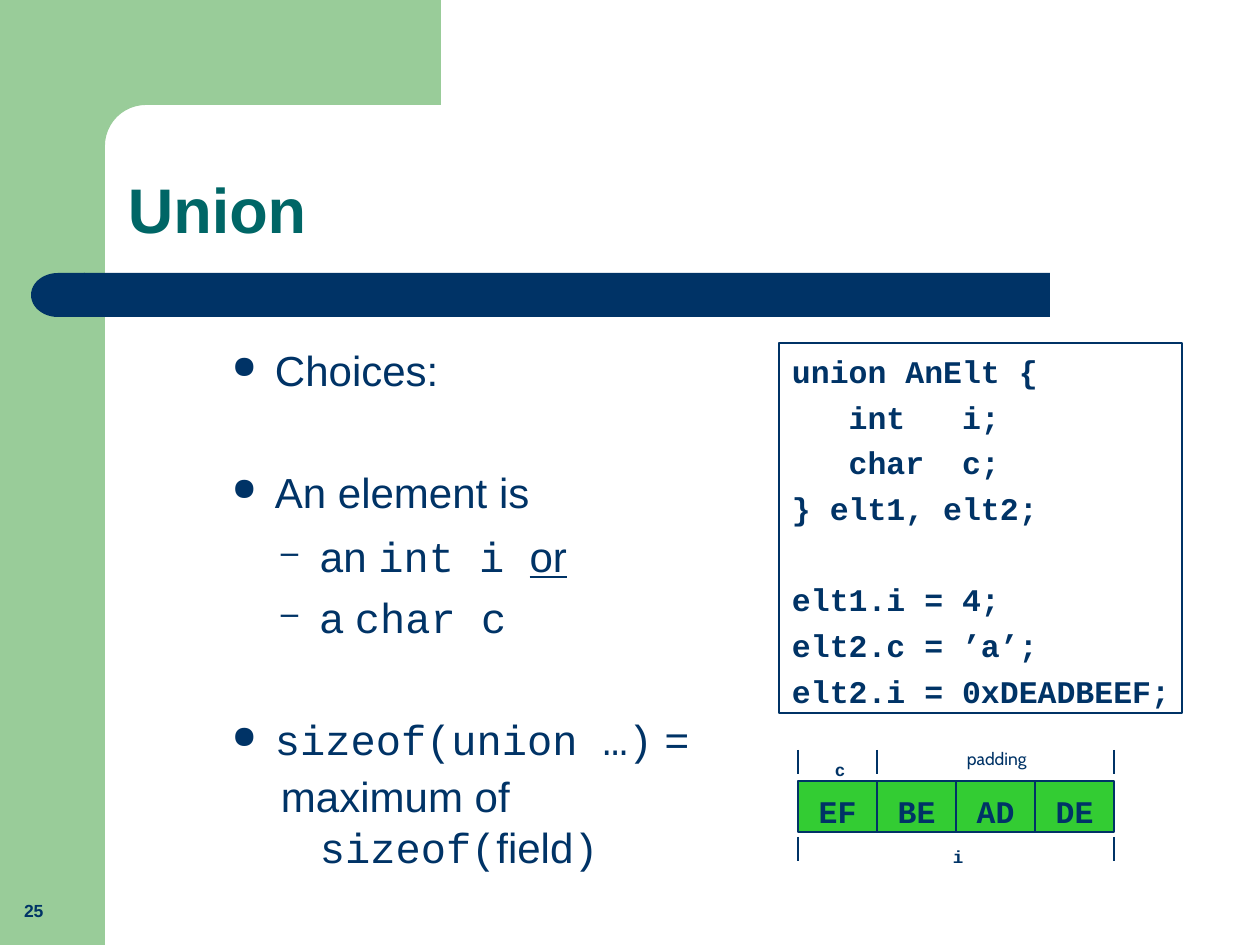
from dataclasses import dataclass
from math import cos, pi, sin

from lxml.etree import SubElement
from pptx import Presentation
from pptx.dml.color import RGBColor
from pptx.enum.shapes import MSO_CONNECTOR as Connector, MSO_SHAPE as Preset
from pptx.enum.text import MSO_ANCHOR as Anchor, PP_ALIGN as Align
from pptx.oxml.ns import qn
from pptx.util import Emu, Pt

NAVY = RGBColor(0x00, 0x33, 0x66)
TEAL = RGBColor(0x00, 0x66, 0x66)
SAGE = RGBColor(0x99, 0xCC, 0x99)
GREEN = RGBColor(0x33, 0xCC, 0x33)
SANS, MONO, LABEL = "Arial", "Courier New", "Cabin"
LINE_RATIO = 1.2


@dataclass(frozen=True)
class Box:
    left: int
    top: int
    width: int
    height: int


@dataclass(frozen=True)
class Style:
    size: int
    font: str = MONO
    bold: bool = True
    color: RGBColor = NAVY


@dataclass(frozen=True)
class Caption:
    text: str
    box: Box
    style: Style
    anchor: Anchor = Anchor.TOP
    wrap: bool = False


@dataclass(frozen=True)
class Piece:
    text: str
    font: str = SANS
    underline: bool = False


@dataclass(frozen=True)
class Point:
    pieces: tuple[Piece, ...]
    margin: int
    indent: int
    space_before: int
    bullet: str = ""


def px(length: float) -> Emu:
    return Emu(round(length * 914400 / 126))


def place(box: Box) -> tuple[Emu, Emu, Emu, Emu]:
    return px(box.left), px(box.top), px(box.width), px(box.height)


def paint(shape, fill: RGBColor | None, outline: RGBColor | None = None) -> None:
    shape.shadow.inherit = False
    if fill is None:
        shape.fill.background()
    else:
        shape.fill.solid()
        shape.fill.fore_color.rgb = fill
    if outline is None:
        shape.line.fill.background()
    else:
        shape.line.color.rgb = outline
        shape.line.width = Pt(0.75)


def add_block(slide, preset: Preset, box: Box, fill=None, outline=None):
    shape = slide.shapes.add_shape(preset, *place(box))
    paint(shape, fill, outline)
    return shape


def set_font(run, style: Style) -> None:
    run.font.name = style.font
    run.font.size = Pt(style.size)
    run.font.bold = style.bold
    run.font.color.rgb = style.color


def set_frame(shape, wrap: bool, anchor: Anchor = Anchor.TOP, top: int = 6):
    frame = shape.text_frame
    frame.word_wrap = wrap
    frame.vertical_anchor = anchor
    frame.margin_left = frame.margin_right = px(13)
    frame.margin_top, frame.margin_bottom = px(top), px(6)
    return frame


def add_caption(slide, caption: Caption) -> None:
    shape = slide.shapes.add_textbox(*place(caption.box))
    frame = set_frame(shape, caption.wrap, caption.anchor)
    frame.text = caption.text
    set_font(frame.paragraphs[0].runs[0], caption.style)


def add_tick(slide, x: int, top: int) -> None:
    tick = slide.shapes.add_connector(Connector.STRAIGHT, px(x), px(top), px(x), px(top + 24))
    tick.line.color.rgb = NAVY
    tick.line.width = Pt(0.75)
    SubElement(tick.element.spPr, qn("a:effectLst"))


def add_bullet(paragraph, character: str) -> None:
    properties = paragraph._p.get_or_add_pPr()
    color = SubElement(properties, qn("a:buClr"))
    SubElement(color, qn("a:srgbClr"), val=str(NAVY))
    SubElement(properties, qn("a:buSzPct"), val="75000")
    SubElement(properties, qn("a:buChar"), char=character)


def add_point(paragraph, point: Point) -> None:
    for piece in point.pieces:
        run = paragraph.add_run()
        run.text = piece.text
        set_font(run, Style(24, piece.font, bold=False))
        run.font.underline = piece.underline
    paragraph.line_spacing = Pt(24 * LINE_RATIO)
    paragraph.space_before = Pt(point.space_before)
    properties = paragraph._p.get_or_add_pPr()
    properties.set("marL", str(px(point.margin)))
    properties.set("indent", str(px(point.indent)))
    if point.bullet:
        add_bullet(paragraph, point.bullet)


def add_corner(slide) -> None:
    radius, inner, steps = 41, 105, 12
    center = inner + radius
    arc = [(center - radius * sin(pi / 2 * step / steps),
            center - radius * cos(pi / 2 * step / steps)) for step in range(steps + 1)]
    outline = [(441, inner), *arc, (inner, 161), (63, 161), (63, 0)]
    builder = slide.shapes.build_freeform(px(441), 0)
    builder.add_line_segments([(px(x), px(y)) for x, y in outline], close=True)
    paint(builder.convert_to_shape(), SAGE)


def add_code(slide, box: Box, groups: tuple[tuple[str, ...], ...]) -> None:
    frame = set_frame(add_block(slide, Preset.RECTANGLE, box, outline=NAVY), False, top=9)
    frame.text = "\n".join(line for group in groups for line in group)
    group_starts = {len(groups[0])}
    for index, paragraph in enumerate(frame.paragraphs):
        paragraph.alignment = Align.LEFT
        paragraph.line_spacing = Pt(18 * LINE_RATIO)
        paragraph.space_before = Pt(30.6 if index in group_starts else 4.5 if index else 0)
        set_font(paragraph.runs[0], Style(18))


def add_byte(slide, text: str, box: Box) -> None:
    frame = set_frame(add_block(slide, Preset.RECTANGLE, box, GREEN, NAVY), True, top=11)
    frame.text = text
    frame.paragraphs[0].alignment = Align.CENTER
    set_font(frame.paragraphs[0].runs[0], Style(18))


CAPTIONS = (
    Caption("25", Box(11, 861, 81, 66), Style(10, SANS), Anchor.BOTTOM, True),
    Caption("Union", Box(115, 115, 1072, 137), Style(36, SANS, color=TEAL), Anchor.BOTTOM, True),
    Caption("c", Box(822, 753, 36, 33), Style(10)),
    Caption("i", Box(940, 840, 36, 33), Style(10)),
    Caption("padding", Box(954, 742, 93, 33), Style(10, LABEL, bold=False)),
)
# Space before includes the wide gaps between the three topics
POINTS = (
    Point((Piece("Choices:"),), 57, -43, 0, "●"),
    Point((Piece("An element is"),), 57, -43, 41, "●"),
    Point((Piece("an "), Piece("int i ", MONO), Piece("or", underline=True)), 102, -39, 8, "–"),
    Point((Piece("a "), Piece("char c", MONO)), 102, -39, 6, "–"),
    Point((Piece("sizeof(union …)", MONO), Piece(" =")), 57, -43, 41, "●"),
    Point((Piece("maximum of "), Piece("sizeof(", MONO), Piece("field"), Piece(")", MONO)),
          102, -39, 4),
)
CODE = (
    ("union AnElt {", "   int   i;", "   char  c;", "} elt1, elt2;"),
    ("elt1.i = 4;", "elt2.c = ’a’;", "elt2.i = 0xDEADBEEF;"),
)


def main() -> None:
    presentation = Presentation()
    presentation.slide_width, presentation.slide_height = px(1260), px(945)
    slide = presentation.slides.add_slide(presentation.slide_layouts[6])

    # Side band, rounded corner and title bar
    add_block(slide, Preset.RECTANGLE, Box(0, 0, 105, 945), SAGE)
    add_corner(slide)
    add_block(slide, Preset.RECTANGLE, Box(84, 273, 966, 44), NAVY)
    add_block(slide, Preset.FLOWCHART_DELAY, Box(31, 273, 54, 44), NAVY).rotation = 180

    # Bulleted text
    frame = set_frame(slide.shapes.add_textbox(*place(Box(205, 338, 504, 561))), True)
    for index, point in enumerate(POINTS):
        add_point(frame.add_paragraph() if index else frame.paragraphs[0], point)

    # Memory bytes with their extent marks
    left, step = 798, 79
    for index, text in enumerate(("EF", "BE", "AD", "DE")):
        add_byte(slide, text, Box(left + index * step, 781, step, 51))
    for column, top in ((0, 750), (1, 750), (4, 750), (0, 837), (4, 837)):
        add_tick(slide, left + column * step, top)

    # Code listing, title, page number and labels
    add_code(slide, Box(779, 343, 403, 370), CODE)
    for caption in CAPTIONS:
        add_caption(slide, caption)

    presentation.save("out.pptx")


if __name__ == "__main__":
    main()
